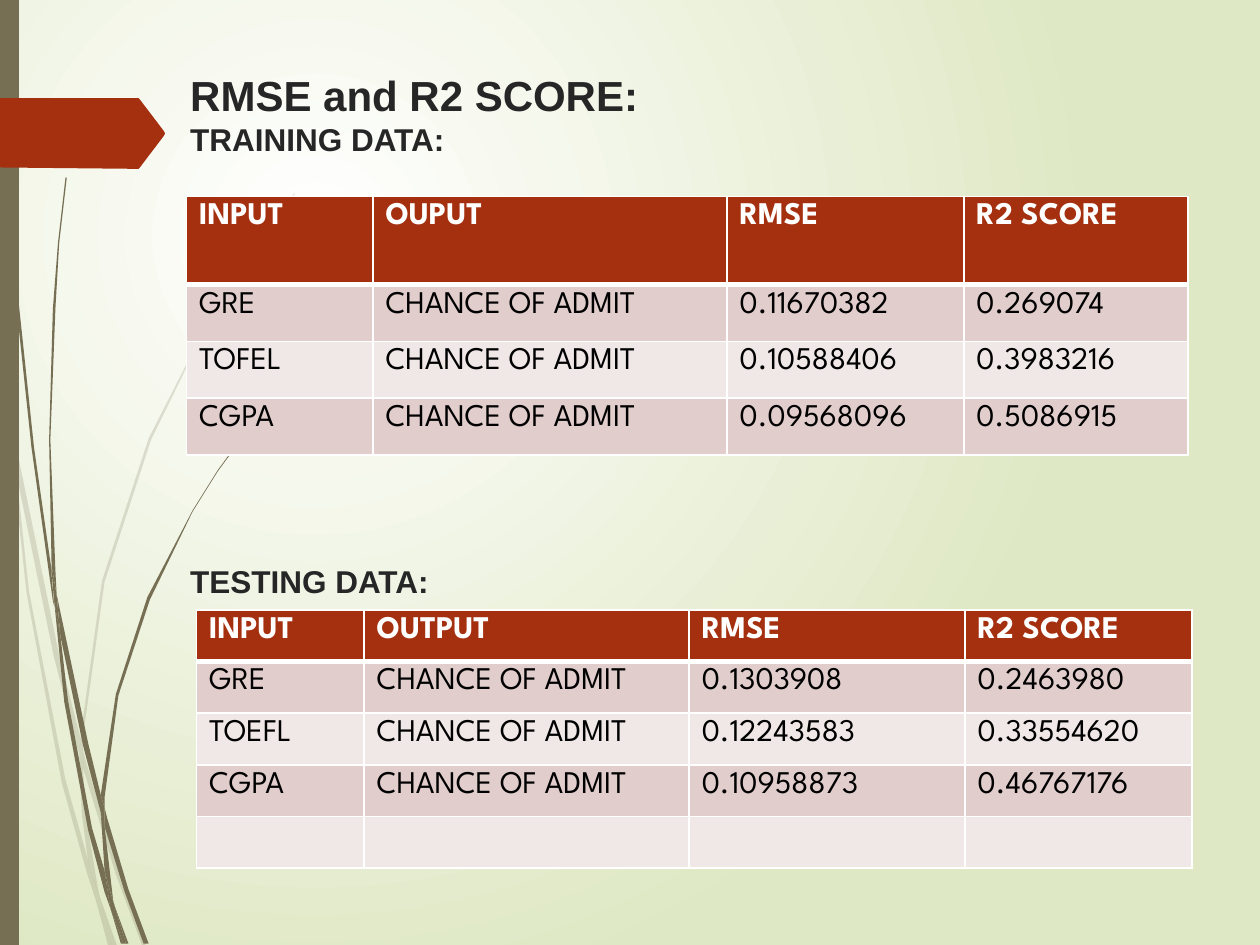
from lxml.etree import SubElement
from pptx import Presentation
from pptx.dml.color import RGBColor
from pptx.enum.shapes import MSO_SHAPE as Shape
from pptx.enum.text import MSO_ANCHOR as Anchor, MSO_AUTO_SIZE as Auto, PP_ALIGN as Align
from pptx.oxml import parse_xml
from pptx.oxml.ns import nsdecls, qn
from pptx.util import Inches, Pt

RUST, OLIVE, WHITE, BLACK, INK = "A53010", "766F54", "FFFFFF", "000000", "262626"
BANDS = ("E1CDCC", "F0E8E7")

# Outlines of the grass blades: x, y, x, y, ... in inches
PALE = [
    (.08, 3.5, .06, 3.22, 0, 2.82, 0, 2.99, .08, 3.44),
    (.43, 5.22, .63, 5.99, .64, 5.86, .47, 5.2, .11, 3.45, .13, 3.76),
    (.69, 6.07, .66, 5.96, .66, 6.1, .92, 6.94, 1.13, 7.51, 1.16, 7.51, .95, 6.92),
    (.89, 7.51, .93, 7.51, .79, 7.11),
    (.7, 6.83, .52, 6.19, .23, 4.69, .13, 3.76, .08, 3.5, .21, 4.7, .49, 6.21,
     .69, 6.93, .76, 7.14, .74, 7.07),
    (.63, 5.99, .65, 6.46, .7, 6.83, .72, 6.92, .79, 7.11, .78, 7.06, .68, 6.46,
     .66, 6.1, .66, 6.08),
    (.66, 5.84, .83, 4.62, 1.2, 3.49, 1.71, 2.45, 2.01, 1.98, 2.17, 1.75, 2.34, 1.54,
     2.34, 1.53, 2.17, 1.75, 2.01, 1.97, 1.71, 2.44, 1.18, 3.48, .81, 4.61,
     .64, 5.84, .64, 5.86, .66, 5.96),
    (.76, 7.14, .86, 7.51, .89, 7.51),
    (.66, 6.08, .66, 6.1, .66, 5.96, .64, 5.86, .63, 5.99),
    (.72, 6.92, .7, 6.83, .74, 7.07, .76, 7.14, .89, 7.51, .79, 7.11),
]
DARK = [
    (.05, 1.1, .12, 2.33, .25, 3.55, .42, 4.77, .43, 4.81, .41, 4.57, .41, 4.53,
     .27, 3.55, .14, 2.32, .06, 1.09, .03, .48, .03, 0, .02, 0, .03, .48),
    (.66, 5.92, .8, 6.45, .8, 6.33, .8, 6.31, .7, 5.9, .45, 4.72, .48, 5.05),
    (.85, 6.49, .83, 6.41, .83, 6.56, .99, 7.08, 1.14, 7.49, 1.18, 7.49, 1.02, 7.06),
    (.83, 6.91, .73, 6.57, .54, 5.56, .48, 5.05, .43, 4.77, .51, 5.57, .7, 6.59,
     .83, 7.08, .88, 7.22, .87, 7.17),
    (.45, 4.72, .44, 4.53, .4, 3.49, .44, 2.45, .47, 1.93, .53, 1.41, .52, 1.41,
     .46, 1.93, .42, 2.45, .39, 3.49, .41, 4.49),
    (1, 7.49, 1.02, 7.49, .91, 7.19),
    (.43, 4.77, .48, 5.05, .45, 4.72, .41, 4.49, .41, 4.53),
    (.83, 6.33, .94, 5.52, 1.19, 4.76, 1.53, 4.06, 1.73, 3.74, 1.84, 3.59, 1.96, 3.44,
     1.95, 3.44, 1.84, 3.58, 1.73, 3.73, 1.53, 4.05, 1.17, 4.74, .92, 5.51,
     .8, 6.31, .83, 6.41),
    (.88, 7.22, .96, 7.49, .98, 7.49),
    (.8, 6.45, .83, 6.91, .87, 7.06, .91, 7.19, .9, 7.16, .83, 6.56, .81, 6.51),
    (.8, 6.45, .81, 6.51, .83, 6.56, .83, 6.41, .8, 6.31, .8, 6.33),
    (.87, 7.06, .83, 6.91, .87, 7.17, .88, 7.22, .98, 7.49, 1, 7.49, .91, 7.19),
]
ARROW = (1.3, 1.08, 1.11, 1.33, 1.1, 1.34, 1.02, 1.34, 0, 1.33, 0, .78,
         1.1, .78, 1.11, .79, 1.3, 1.04, 1.31, 1.06)

TRAIN = [
    ("INPUT", "OUPUT", "RMSE", "R2 SCORE"),
    ("GRE", "CHANCE OF ADMIT", "0.11670382", "0.269074"),
    ("TOFEL", "CHANCE OF ADMIT", "0.10588406", "0.3983216"),
    ("CGPA", "CHANCE OF ADMIT", "0.09568096", "0.5086915"),
]
TEST = [
    ("INPUT", "OUTPUT", "RMSE", "R2 SCORE"),
    ("GRE", "CHANCE OF ADMIT", "0.1303908", "0.2463980"),
    ("TOEFL", "CHANCE OF ADMIT", "0.12243583", "0.33554620"),
    ("CGPA", "CHANCE OF ADMIT", "0.10958873", "0.46767176"),
    ("",) * 4,
]


def rgb(code):
    return RGBColor.from_string(code)


def paint(shape, color):
    shape.fill.solid()
    shape.fill.fore_color.rgb = rgb(color)
    shape.line.fill.background()
    shape.shadow.inherit = False


def back(slide):
    """Fill the background with a round glow from the upper left."""
    fill = slide.background.fill
    fill.gradient()
    for stop, color in zip(fill.gradient_stops, (WHITE, "DFE8C4")):
        stop.color.rgb = rgb(color)
    grad = next(slide.element.iter(qn("a:gradFill")))
    grad.replace(grad.find(qn("a:lin")), parse_xml(
        f'<a:path {nsdecls("a")} path="circle">'
        '<a:fillToRect l="50000" t="50000" r="100000" b="100000"/></a:path>'))


def outline(shapes, flat, color, alpha=100):
    """Draw a closed outline from flat x, y values; alpha is in percent."""
    dots = [(Inches(x), Inches(y)) for x, y in zip(flat[::2], flat[1::2])]
    draft = shapes.build_freeform(*dots[0])
    draft.add_line_segments(dots[1:])
    shape = draft.convert_to_shape()
    paint(shape, color)
    if alpha < 100:
        tint = next(shape.element.spPr.iter(qn("a:srgbClr")))
        SubElement(tint, qn("a:alpha"), val=str(alpha * 1000))


def grass(slide, blades, alpha):
    group = slide.shapes.add_group_shape()
    for blade in blades:
        outline(group.shapes, blade, OLIVE, alpha)


def heading(slide):
    title = slide.shapes.title
    title.element.getparent().append(title.element)  # in front of the grass
    title.left, title.top = Inches(1.41), Inches(.47)
    title.width, title.height = Inches(7.95), Inches(5.86)
    frame = title.text_frame
    frame.auto_size = Auto.NONE
    frame.vertical_anchor = Anchor.TOP
    frame.margin_top = Inches(.08)
    frame.text = "RMSE and R2 SCORE:\nTRAINING DATA:\nTESTING DATA:"
    for para, size, gap in zip(frame.paragraphs, (24, 18, 18), (0, 0, 231)):
        para.alignment = Align.LEFT
        para.space_before = Pt(gap)
        font = para.font
        font.name, font.size, font.bold = "Arial", Pt(size), True
        font.color.rgb = rgb(INK)


def edge(cell, top, base):
    """Give a cell white borders; top and base are widths in points."""
    props = cell._tc.get_or_add_tcPr()
    for spot, (side, width) in enumerate(zip("LRTB", (1, 1, top, base))):
        props.insert(spot, parse_xml(
            f'<a:ln{side} {nsdecls("a")} w="{Pt(width)}"><a:solidFill>'
            f'<a:srgbClr val="{WHITE}"/></a:solidFill></a:ln{side}>'))


def grid(slide, data, left, top, widths, heights):
    frame = slide.shapes.add_table(
        len(data), len(widths), Inches(left), Inches(top),
        Inches(sum(widths)), Inches(sum(heights)))
    table = frame.table
    table.horz_banding = False
    for col, width in zip(table.columns, widths):
        col.width = Inches(width)
    for r, (line, height) in enumerate(zip(data, heights)):
        table.rows[r].height = Inches(height)
        head = r == 0
        for c, text in enumerate(line):
            cell = table.cell(r, c)
            cell.text = text
            cell.fill.solid()
            cell.fill.fore_color.rgb = rgb(RUST if head else BANDS[(r - 1) % 2])
            edge(cell, 3 if r == 1 else 1, 3 if head else 1)
            font = cell.text_frame.paragraphs[0].font
            font.name, font.size, font.bold = "League Spartan", Pt(18), head
            font.color.rgb = rgb(WHITE if head else BLACK)


def main():
    deck = Presentation()
    deck.slide_width, deck.slide_height = Inches(10), Inches(7.5)
    slide = deck.slides.add_slide(deck.slide_layouts[5])
    back(slide)
    grass(slide, PALE, 20)
    grass(slide, DARK, 100)
    bar = slide.shapes.add_shape(Shape.RECTANGLE, 0, 0, Inches(.15), Inches(7.5))
    paint(bar, OLIVE)
    outline(slide.shapes, ARROW, RUST)
    heading(slide)
    grid(slide, TRAIN, 1.48, 1.56, (1.48, 2.81, 1.88, 1.78), (.7, .45, .45, .45))
    grid(slide, TEST, 1.56, 4.84, (1.33, 2.58, 2.19, 1.8), (.41,) * 5)
    deck.save("out.pptx")


if __name__ == "__main__":
    main()
